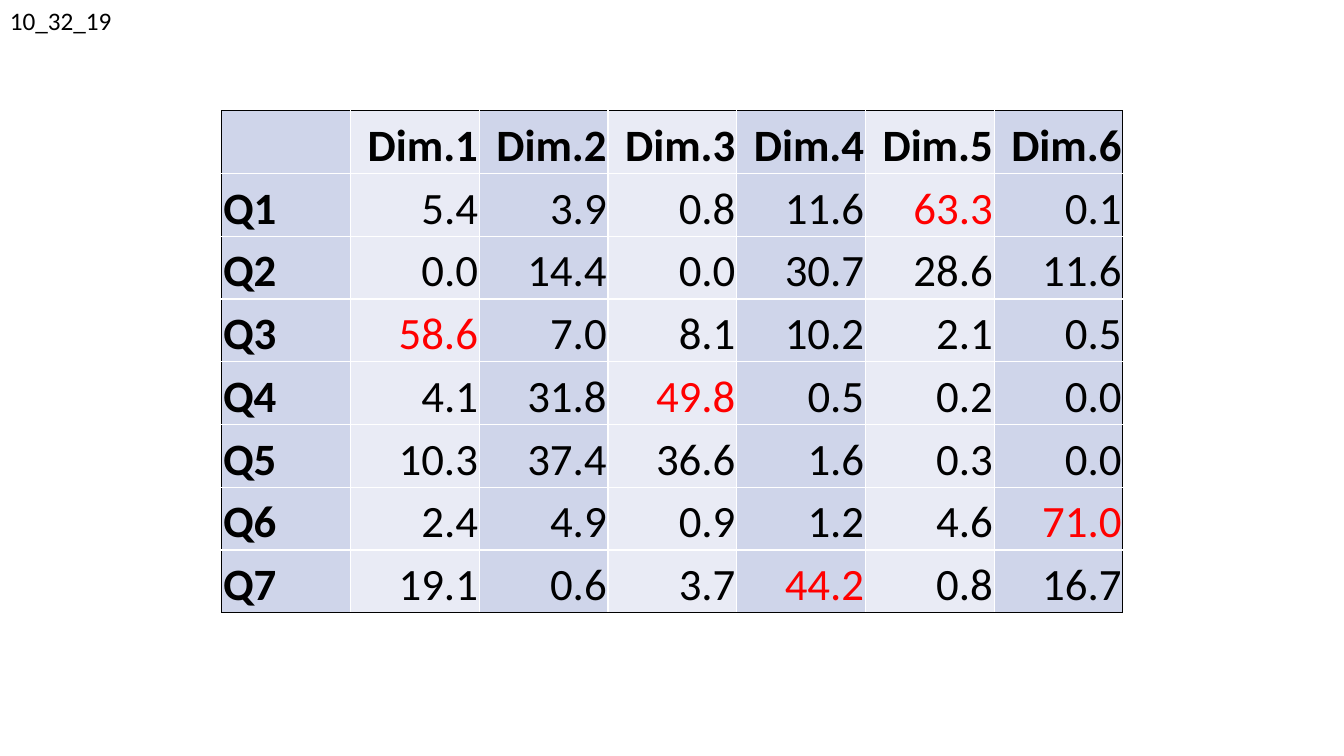
from lxml.etree import SubElement
from pptx import Presentation
from pptx.dml.color import RGBColor
from pptx.enum.text import MSO_ANCHOR as Anchor, MSO_AUTO_SIZE as AutoSize, PP_ALIGN as Align
from pptx.oxml.ns import qn
from pptx.util import Cm, Pt

COLORS = {
    "text": "000000",
    "highlight": "FF0000",
    "dark_band": "CFD5EA",
    "light_band": "E9EBF5",
    "grid": "FFFFFF",
    "frame": "000000",
}
FONT = "Calibri"
HIGHLIGHT_FROM = 40

DIMENSIONS = [f"Dim.{n}" for n in range(1, 7)]
CONTRIBUTIONS = {
    "Q1": [5.4, 3.9, 0.8, 11.6, 63.3, 0.1],
    "Q2": [0.0, 14.4, 0.0, 30.7, 28.6, 11.6],
    "Q3": [58.6, 7.0, 8.1, 10.2, 2.1, 0.5],
    "Q4": [4.1, 31.8, 49.8, 0.5, 0.2, 0.0],
    "Q5": [10.3, 37.4, 36.6, 1.6, 0.3, 0.0],
    "Q6": [2.4, 4.9, 0.9, 1.2, 4.6, 71.0],
    "Q7": [19.1, 0.6, 3.7, 44.2, 0.8, 16.7],
}


def add_run(paragraph, text, size, color="text", bold=False):
    run = paragraph.add_run()
    run.text = text
    run.font.name = FONT
    run.font.size = Pt(size)
    run.font.bold = bold
    run.font.color.rgb = RGBColor.from_string(COLORS[color])


def set_borders(cell, framed):
    """Draw all four sides; framed maps a side to True on the table's outer edge."""
    properties = cell._tc.get_or_add_tcPr()
    for side, on_frame in framed.items():
        line = SubElement(properties, qn(f"a:ln{side}"), w=str(Pt(1)))
        fill = SubElement(line, qn("a:solidFill"))
        SubElement(fill, qn("a:srgbClr"), val=COLORS["frame" if on_frame else "grid"])


def add_code_label(slide, left, top, width, height):
    label = slide.shapes.add_textbox(left, top, width, height).text_frame
    label.word_wrap = False
    label.auto_size = AutoSize.SHAPE_TO_FIT_TEXT
    add_run(label.paragraphs[0], "10_32_19", 18)


def fill_cell(cell, row, column, value):
    is_number = isinstance(value, float)
    cell.vertical_anchor = Anchor.BOTTOM
    cell.margin_left = cell.margin_right = cell.margin_top = Cm(0.03)
    cell.margin_bottom = 0
    paragraph = cell.text_frame.paragraphs[0]
    paragraph.alignment = Align.RIGHT if column else Align.LEFT
    if value == "":
        paragraph.font.size = Pt(32)
    else:
        add_run(
            paragraph,
            f"{value:.1f}" if is_number else value,
            32,
            "highlight" if is_number and value >= HIGHLIGHT_FROM else "text",
            bold=not is_number,
        )
    set_borders(cell, {
        "L": column == 0,
        "R": column == len(DIMENSIONS),
        "T": row == 0,
        "B": row == len(CONTRIBUTIONS),
    })
    cell.fill.solid()
    band = "light_band" if column % 2 else "dark_band"
    cell.fill.fore_color.rgb = RGBColor.from_string(COLORS[band])


def add_contribution_table(slide, left, top, width, height):
    rows = [["", *DIMENSIONS]]
    rows += [[question, *values] for question, values in CONTRIBUTIONS.items()]
    table = slide.shapes.add_table(len(rows), len(rows[0]), left, top, width, height).table
    table.first_row = table.horz_banding = False
    for row, values in enumerate(rows):
        for column, value in enumerate(values):
            fill_cell(table.cell(row, column), row, column, value)


def main():
    deck = Presentation()
    deck.slide_width, deck.slide_height = Cm(33.87), Cm(19.05)
    slide = deck.slides.add_slide(deck.slide_layouts[6])
    add_code_label(slide, Cm(0), Cm(0), Cm(3.1), Cm(1.02))
    add_contribution_table(slide, Cm(5.59), Cm(2.79), Cm(22.71), Cm(12.65))
    deck.save("out.pptx")


if __name__ == "__main__":
    main()
